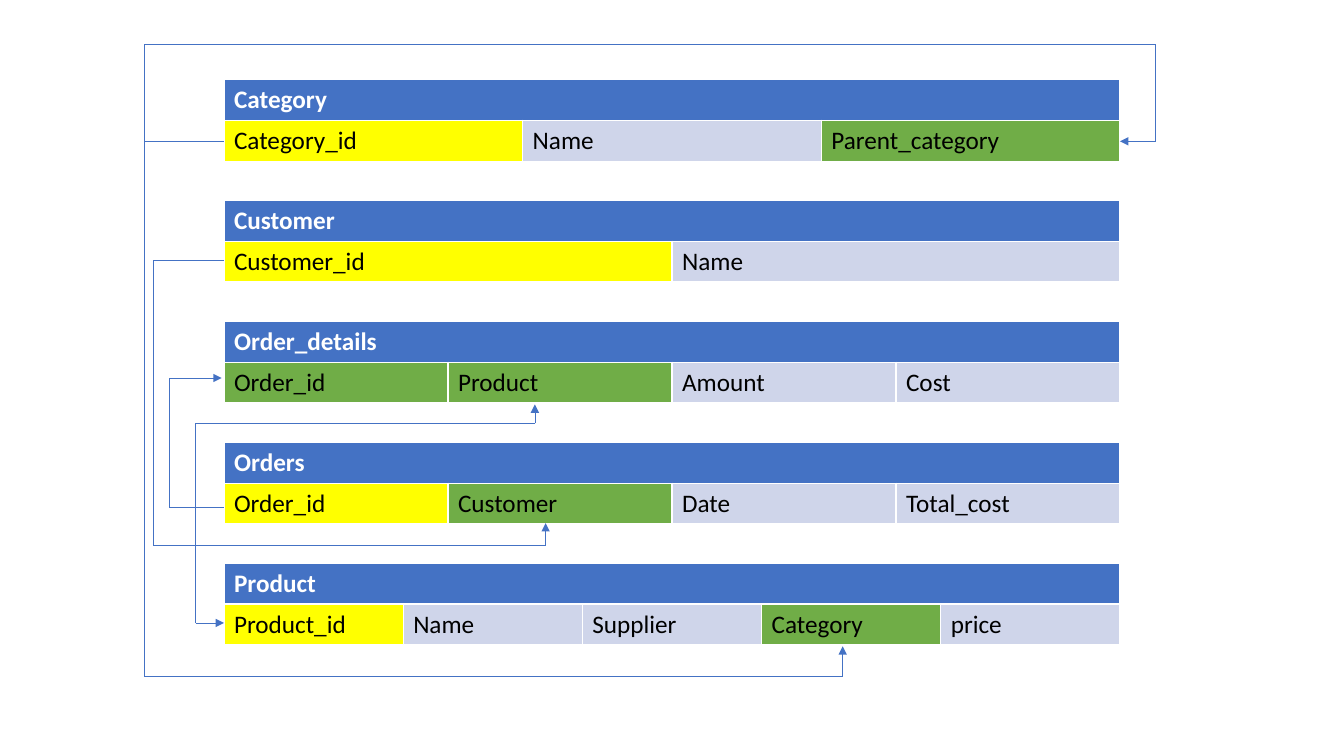
from itertools import pairwise

from lxml import etree
from pptx import Presentation
from pptx import util as u
from pptx.dml.color import RGBColor
from pptx.enum import shapes
from pptx.oxml import ns

BLUE = RGBColor(0x44, 0x72, 0xC4)
YELLOW = RGBColor(0xFF, 0xFF, 0x00)
GREEN = RGBColor(0x70, 0xAD, 0x47)
PALE = RGBColor(0xCF, 0xD5, 0xEA)
WHITE = RGBColor(0xFF, 0xFF, 0xFF)
BLACK = RGBColor(0x00, 0x00, 0x00)

PRIMARY, FOREIGN, PLAIN = YELLOW, GREEN, PALE
ENTITIES = [
    ("Category", [("Category_id", PRIMARY), ("Name", PLAIN), ("Parent_category", FOREIGN)]),
    ("Customer", [("Customer_id", PRIMARY), ("Name", PLAIN)]),
    ("Order_details", [("Order_id", FOREIGN), ("Product", FOREIGN),
                       ("Amount", PLAIN), ("Cost", PLAIN)]),
    ("Orders", [("Order_id", PRIMARY), ("Customer", FOREIGN),
                ("Date", PLAIN), ("Total_cost", PLAIN)]),
    ("Product", [("Product_id", PRIMARY), ("Name", PLAIN), ("Supplier", PLAIN),
                 ("Category", FOREIGN), ("price", PLAIN)]),
]

LEFT, RIGHT = 1 / 6, 5 / 6
TOP, PITCH, ROW = 0.105, 0.16, 0.054
CATEGORY_LANE, CUSTOMER_LANE, ORDER_LANE, PRODUCT_LANE = 0.1075, 0.114, 0.126, 0.1455
RELATIONS = [
    [(LEFT, 0.187), (CATEGORY_LANE, 0.187), (CATEGORY_LANE, 0.895),
     (0.627, 0.895), (0.627, 0.855)],
    [(CATEGORY_LANE, 0.187), (CATEGORY_LANE, 0.059), (0.86, 0.059),
     (0.86, 0.187), (RIGHT, 0.187)],
    [(PRODUCT_LANE, 0.824), (PRODUCT_LANE, 0.56), (0.398, 0.56), (0.398, 0.535)],
    [(PRODUCT_LANE, 0.824), (LEFT, 0.824)],
    [(LEFT, 0.671), (ORDER_LANE, 0.671), (ORDER_LANE, 0.5), (0.165, 0.5)],
    [(LEFT, 0.344), (CUSTOMER_LANE, 0.344), (CUSTOMER_LANE, 0.722),
     (0.406, 0.722), (0.406, 0.692)],
]


def fill_cell(cell, label, fill, color, bold):
    """Colour one cell and write its label."""
    cell.fill.solid()
    cell.fill.fore_color.rgb = fill
    run = cell.text_frame.paragraphs[0].add_run()
    run.text = label
    run.font.name = "Calibri"
    run.font.size = u.Pt(18)
    run.font.bold = bold
    run.font.color.rgb = color


def add_entity(slide, box, title, fields):
    """Place one entity as a title row above its row of fields."""
    entity = slide.shapes.add_table(2, len(fields), *box).table
    entity.horz_banding = False
    header = entity.cell(0, 0)
    header.merge(entity.cell(0, len(fields) - 1))
    fill_cell(header, title, BLUE, WHITE, True)
    for column, (field, fill) in enumerate(fields):
        fill_cell(entity.cell(1, column), field, fill, BLACK, False)


def add_relation(slide, box, route):
    """Draw a route of straight segments that ends in an arrow."""
    left, top, width, height = box
    points = [(int(left + x * width), int(top + y * height)) for x, y in route]
    for start, end in pairwise(points):
        segment = slide.shapes.add_connector(shapes.MSO_CONNECTOR.STRAIGHT, *start, *end)
        segment.line.color.rgb = BLUE
        segment.line.width = u.Pt(0.5)
        if end == points[-1]:
            etree.SubElement(segment.line._get_or_add_ln(), ns.qn("a:tailEnd"), type="triangle")
        etree.SubElement(segment._element.spPr, ns.qn("a:effectLst"))


def add_schema(slide, box):
    """Stack the entities at an equal pitch and link their keys."""
    left, top, width, height = box
    for index, (title, fields) in enumerate(ENTITIES):
        entity_box = (int(left + LEFT * width), int(top + (TOP + index * PITCH) * height),
                      int((RIGHT - LEFT) * width), int(2 * ROW * height))
        add_entity(slide, entity_box, title, fields)
    for route in RELATIONS:
        add_relation(slide, box, route)


deck = Presentation()
deck.slide_width, deck.slide_height = u.Inches(13.33), u.Inches(7.5)
schema_slide = deck.slides.add_slide(deck.slide_layouts[6])
add_schema(schema_slide, (0, 0, deck.slide_width, deck.slide_height))
deck.save("out.pptx")
